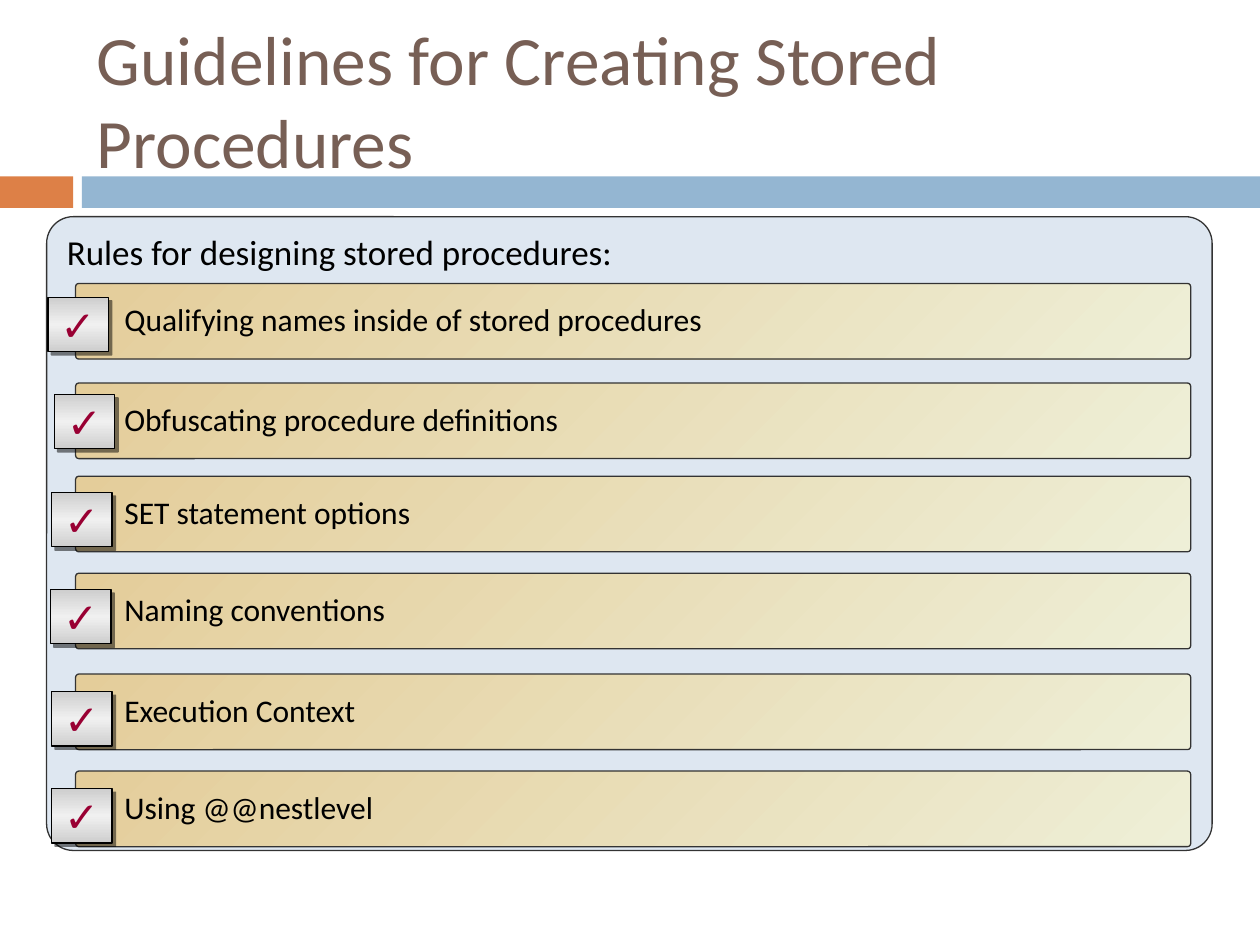
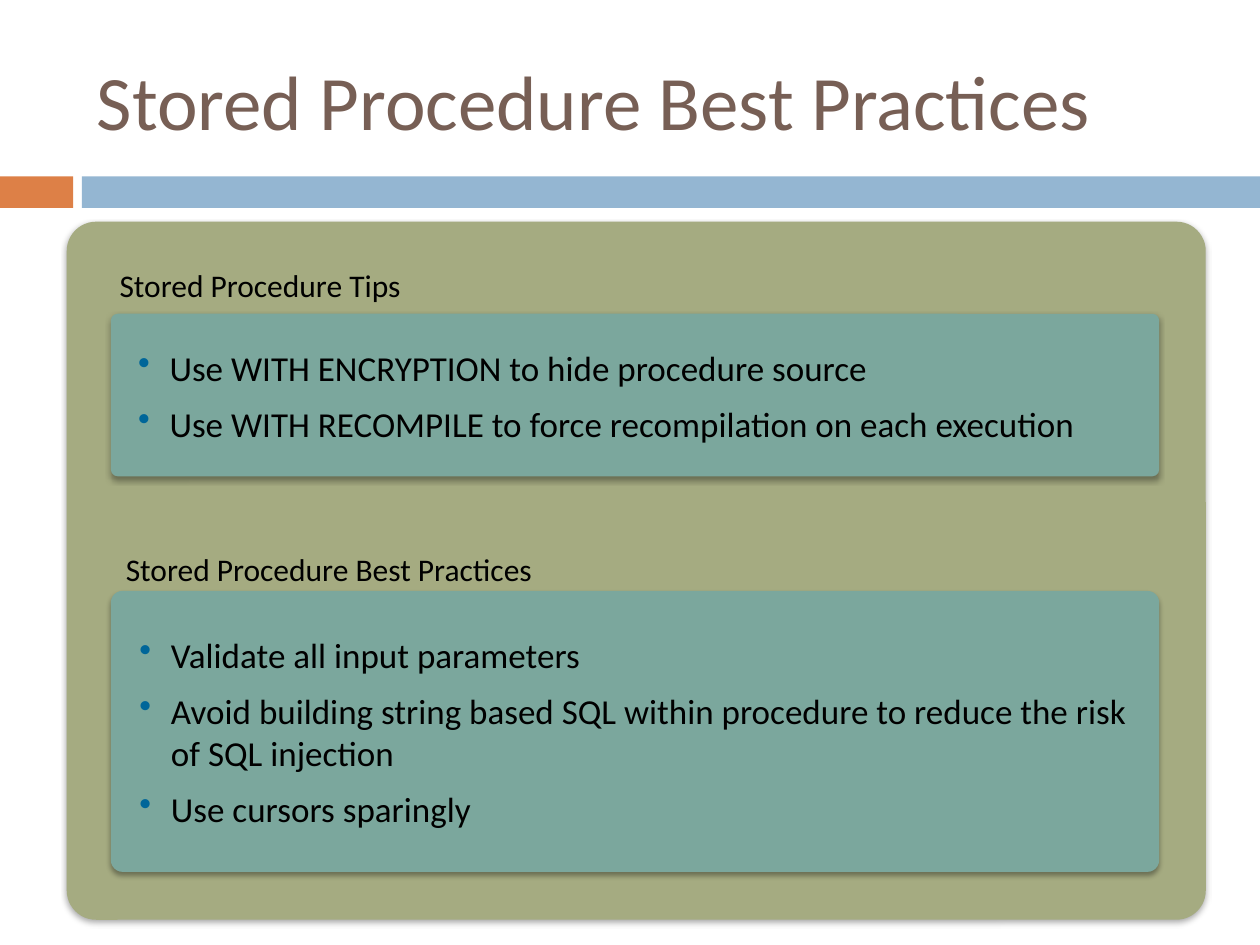
import pptx
import pptx.dml.color
import pptx.enum.shapes
import pptx.enum.text
import pptx.oxml
import pptx.oxml.ns
import pptx.util
from lxml import etree

Inches, Pt, qn = pptx.util.Inches, pptx.util.Pt, pptx.oxml.ns.qn
Shapes = pptx.enum.shapes.MSO_SHAPE
Anchor = pptx.enum.text.MSO_ANCHOR
Align = pptx.enum.text.PP_ALIGN

ORANGE, BLUE, TITLE_BROWN = "DD8047", "94B6D2", "775F55"
BLACK, LINE_GREY, BULLET_BLUE, CHECK_RED = "000000", "333333", "006699", "990033"
PANEL_BLUE, PANEL_GREEN, CARD_TEAL = "DEE7F1", "A5AB81", "7BA79D"
# Gradients: clockwise angle, then evenly spaced colours
BAR_GRADIENT = (45, "E4CD9A", "EEEFD7")
CHECK_GRADIENT = (90, "CECECE", "F0F0F0", "CECECE")
# Shadows: opacity in percent, blur and distance in points, angle
HARD_SHADOW = (50, 0, 2.8, 45)
SOFT_SHADOW = (35, 3, 2, 90)
CORNER = 0.042


def color(hex_string):
    return pptx.dml.color.RGBColor.from_string(hex_string)


def add_box(slide, at, fill=None, corner=None, line=None, shadow=None, texts=(),
            size=18, font="Calibri", text_color=BLACK, anchor=Anchor.MIDDLE,
            align=Align.LEFT, margins=(0.1, 0.05, 0.1, 0.05)):
    """Add a filled shape, or a text box when there is no fill, with its paragraphs."""
    position = [Inches(length) for length in at]
    if fill is None:
        shape = slide.shapes.add_textbox(*position)
    else:
        kind = Shapes.RECTANGLE if corner is None else Shapes.ROUNDED_RECTANGLE
        shape = slide.shapes.add_shape(kind, *position)
        if corner is not None:
            shape.adjustments[0] = corner
        if isinstance(fill, str):
            shape.fill.solid()
            shape.fill.fore_color.rgb = color(fill)
        else:
            angle, *stops = fill
            shape.fill.gradient()
            shape.fill.gradient_angle = 360 - angle
            stop_list = shape.element.spPr.find(".//" + qn("a:gsLst"))
            stop_list.clear()
            for index, stop in enumerate(stops):
                place = 100000 * index // (len(stops) - 1)
                stop_element = etree.SubElement(stop_list, qn("a:gs"), pos=str(place))
                etree.SubElement(stop_element, qn("a:srgbClr"), val=stop)
        if line:
            shape.line.color.rgb = color(line)
            shape.line.width = Pt(0.75)
        else:
            shape.line.fill.background()
        shape.shadow.inherit = False

    if shadow:
        opacity, blur, distance, angle = shadow
        effects = shape.element.spPr.find(qn("a:effectLst"))
        outer = etree.SubElement(
            effects, qn("a:outerShdw"), blurRad=str(Pt(blur)), dist=str(Pt(distance)),
            dir=str(angle * 60000), algn="ctr", rotWithShape="0")
        tint = etree.SubElement(outer, qn("a:srgbClr"), val=BLACK)
        etree.SubElement(tint, qn("a:alpha"), val=str(opacity * 1000))

    frame = shape.text_frame
    frame.word_wrap = True
    frame.vertical_anchor = anchor
    (frame.margin_left, frame.margin_top,
     frame.margin_right, frame.margin_bottom) = [Inches(margin) for margin in margins]
    for index, text in enumerate(texts):
        paragraph = frame.add_paragraph() if index else frame.paragraphs[0]
        paragraph.text = text
        paragraph.alignment = align
        paragraph.font.size = Pt(size)
        paragraph.font.name = font
        paragraph.font.color.rgb = color(text_color)
    return shape


presentation = pptx.Presentation()
presentation.slide_width = Inches(10)
presentation.slide_height = Inches(7.5)

# Both slides: bands and title
slides = []
for title, title_size in [("Guidelines for Creating Stored Procedures", 39.6),
                          ("Stored Procedure Best Practices", 44)]:
    slide = presentation.slides.add_slide(presentation.slide_layouts[6])
    add_box(slide, (0, 1.4, 0.58, 0.25), ORANGE)
    add_box(slide, (0.65, 1.4, 9.35, 0.25), BLUE)
    add_box(slide, (0.67, 0.25, 8.92, 1.08), texts=[title], size=title_size,
            text_color=TITLE_BROWN)
    slides.append(slide)
guidelines, best_practices = slides

# Slide 1: checklist of rules
add_box(guidelines, (0.37, 1.72, 9.25, 5.03), PANEL_BLUE, CORNER, LINE_GREY,
        texts=["Rules for designing stored procedures:"], size=20, anchor=Anchor.TOP)
rules = [  # text, top of bar, left and top of check box
    ("Qualifying names inside of stored procedures", 2.25, 0.38, 2.36),
    ("Obfuscating procedure definitions", 3.04, 0.43, 3.13),
    ("SET statement options", 3.78, 0.41, 3.91),
    ("Naming conventions", 4.55, 0.4, 4.68),
    ("Execution Context", 5.35, 0.41, 5.49),
    ("Using @@nestlevel", 6.12, 0.41, 6.26),
]
for rule, bar_top, check_left, check_top in rules:
    bar = add_box(guidelines, (0.6, bar_top, 8.85, 0.6), BAR_GRADIENT, CORNER, LINE_GREY,
                  texts=[rule], margins=(0.38, 0.05, 0.1, 0.05))
    bar.text_frame.paragraphs[0].line_spacing = 0.9
    add_box(guidelines, (check_left, check_top, 0.48, 0.43), CHECK_GRADIENT, 0, BLACK,
            HARD_SHADOW, ["✓"], size=24, font="Arial", text_color=CHECK_RED,
            align=Align.CENTER, margins=(0, 0, 0, 0))

# Slide 2: two headed cards of bullets
add_box(best_practices, (0.53, 1.76, 9.04, 5.54), PANEL_GREEN, CORNER, shadow=SOFT_SHADOW)
cards = [  # heading, its place, top and height of card, bullets
    ("Stored Procedure Tips", (0.85, 2.06, 3.32, 0.4), 2.49, 1.29,
     ["Use WITH ENCRYPTION to hide procedure source",
      "Use WITH RECOMPILE to force recompilation on each execution"]),
    ("Stored Procedure Best Practices", (0.9, 4.32, 4.73, 0.4), 4.69, 2.23,
     ["Validate all input parameters",
      "Avoid building string based SQL within procedure to reduce the risk of SQL injection",
      "Use cursors sparingly"]),
]
for heading, heading_at, card_top, card_height, bullets in cards:
    card = add_box(best_practices, (0.88, card_top, 8.32, card_height), CARD_TEAL, CORNER,
                   shadow=SOFT_SHADOW, texts=bullets, size=20,
                   margins=(0.2, 0.05, 0.2, 0.05))
    for paragraph in card.text_frame.paragraphs:
        paragraph.space_before = Pt(8)
        properties = paragraph._p.get_or_add_pPr()
        properties.set("marL", str(Inches(0.25)))
        properties.set("indent", str(Inches(-0.25)))
        bullet_color = etree.Element(qn("a:buClr"))
        etree.SubElement(bullet_color, qn("a:srgbClr"), val=BULLET_BLUE)
        bullet = etree.Element(qn("a:buChar"), char="•")
        spacing = properties.find(qn("a:spcBef"))
        spacing.addnext(bullet_color)
        bullet_color.addnext(bullet)
    add_box(best_practices, heading_at, texts=[heading], anchor=Anchor.TOP)

presentation.save("out.pptx")
